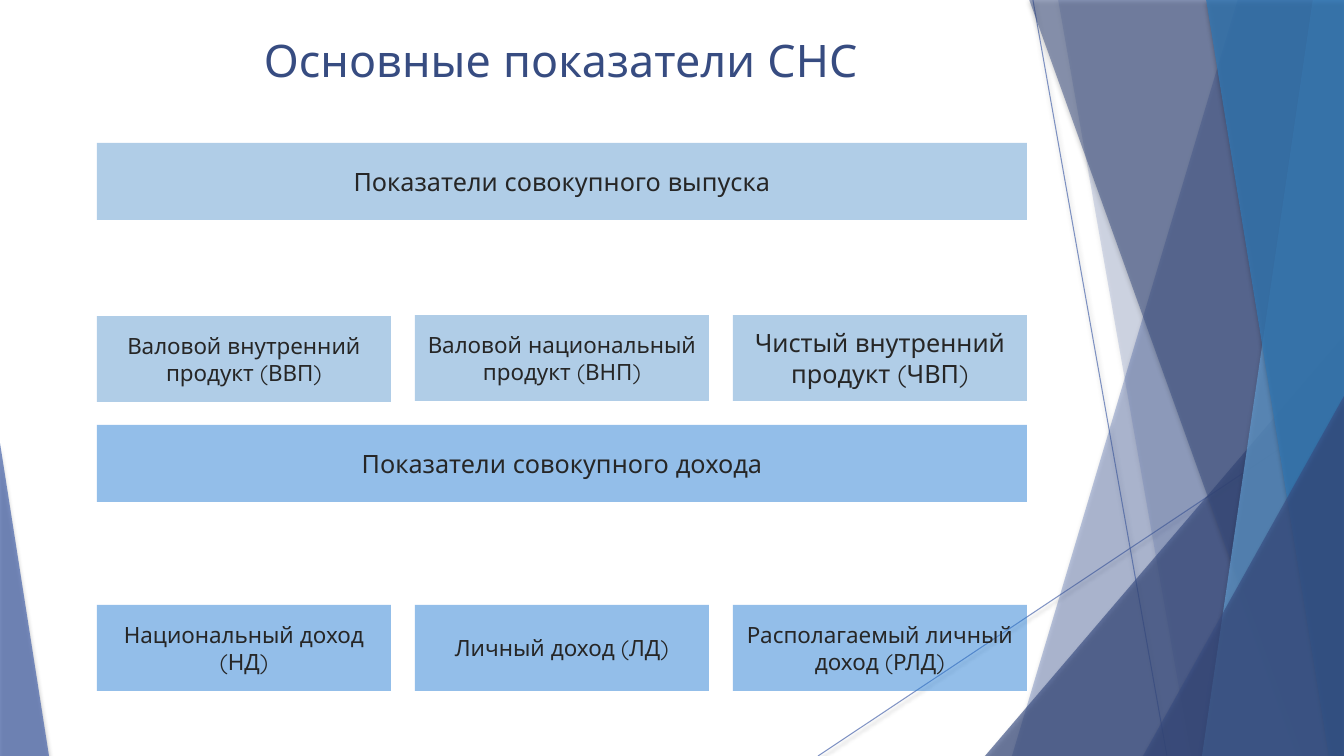
from lxml import etree
from pptx import Presentation
from pptx.dml.color import RGBColor
from pptx.enum.shapes import MSO_CONNECTOR, MSO_SHAPE
from pptx.enum.text import MSO_ANCHOR, PP_ALIGN
from pptx.oxml.ns import qn
from pptx.util import Emu, Pt

STRAIGHT = MSO_CONNECTOR.STRAIGHT
RECTANGLE = MSO_SHAPE.RECTANGLE
TRIANGLE = MSO_SHAPE.ISOSCELES_TRIANGLE
CENTER = PP_ALIGN.CENTER
MIDDLE, TOP = MSO_ANCHOR.MIDDLE, MSO_ANCHOR.TOP

SLIDE_WIDTH, SLIDE_HEIGHT = 1344, 756
SCALE = 12192000 / SLIDE_WIDTH  # EMU in one px

INDIGO = RGBColor(0x4A, 0x66, 0xAC)
NAVY = RGBColor(0x38, 0x4C, 0x81)
SKY = RGBColor(0x62, 0x9D, 0xD1)
OCEAN = RGBColor(0x34, 0x77, 0xB2)
BLUE = RGBColor(0x29, 0x7F, 0xD5)
TITLE_COLOR = RGBColor(0x37, 0x4C, 0x81)
TEXT_COLOR = RGBColor(0x26, 0x26, 0x26)
BLACK = RGBColor(0, 0, 0)

FONT = "Quicksand"
MARGIN, CONTENT_WIDTH = 97, 930
CARD_WIDTH, CARD_PITCH, CARD_HEIGHT = 294, 318, 86
BAND_HEIGHT = 77

# Band text, colour, band top, then cards as (text, top, font size)
SECTIONS = [
    ("Показатели совокупного выпуска", SKY, 143, [
        ("Валовой внутренний продукт (ВВП)", 316, 16),
        ("Валовой национальный продукт (ВНП)", 315, 16),
        ("Чистый внутренний продукт (ЧВП)", 315, 18),
    ]),
    ("Показатели совокупного дохода", BLUE, 425, [
        ("Национальный доход (НД)", 605, 16),
        ("Личный доход (ЛД)", 605, 16),
        ("Располагаемый личный доход (РЛД)", 605, 16),
    ]),
]


def px(*lengths):
    return [Emu(round(length * SCALE)) for length in lengths]


def set_alpha(parent, color, percent):
    """Give the colour element under parent an opacity."""
    node = parent.find(f".//{qn('a:srgbClr')}")
    if node is None:
        node = etree.SubElement(parent, qn("a:srgbClr"), val=str(color))
    etree.SubElement(node, qn("a:alpha"), val=str(percent * 1000))


def add_shadow(shape, opacity, blur, distance):
    effects = etree.SubElement(shape.element.spPr, qn("a:effectLst"))
    shadow = etree.SubElement(
        effects, qn("a:outerShdw"), blurRad=str(Pt(blur)),
        dist=str(Pt(distance)), dir="5400000", rotWithShape="0")
    set_alpha(shadow, BLACK, opacity)


def paint(shape, color, opacity):
    shape.fill.solid()
    shape.fill.fore_color.rgb = color
    set_alpha(shape.element.spPr, color, opacity)
    shape.line.fill.background()


def add_thin_line(slide, *ends):
    line = slide.shapes.add_connector(STRAIGHT, *px(*ends))
    line.line.color.rgb = INDIGO
    line.line.width = Pt(0.75)
    set_alpha(line.element.spPr, INDIGO, 70)
    add_shadow(line, 38, 3.1, 1.6)


def add_shard(slide, top_left, top_right, bottom_right, bottom_left, color, opacity):
    """Four-sided band running the full height of the slide."""
    builder = slide.shapes.build_freeform(top_left, -1, scale=SCALE)
    builder.add_line_segments([
        (top_right, -1), (bottom_right, SLIDE_HEIGHT), (bottom_left, SLIDE_HEIGHT)])
    shard = builder.convert_to_shape()
    paint(shard, color, opacity)
    add_shadow(shard, 35, 3, 2)


def add_corner(slide, left, top, width, apex, color, opacity):
    """Triangle standing on the bottom edge of the slide."""
    corner = slide.shapes.add_shape(
        TRIANGLE, *px(left, top, width, SLIDE_HEIGHT - top))
    corner.adjustments[0] = apex
    paint(corner, color, opacity)
    add_shadow(corner, 35, 3, 2)


def write_text(shape, text, size, color, anchor):
    frame = shape.text_frame
    frame.word_wrap = True
    frame.vertical_anchor = anchor
    paragraph = frame.paragraphs[0]
    paragraph.alignment = CENTER
    run = paragraph.add_run()
    run.text = text
    for name, value in {"name": FONT, "size": Pt(size)}.items():
        setattr(run.font, name, value)
    run.font.color.rgb = color


def add_box(slide, left, top, width, height, text, size, color):
    box = slide.shapes.add_shape(RECTANGLE, *px(left, top, width, height))
    paint(box, color, 50)
    box.shadow.inherit = False
    write_text(box, text, size, TEXT_COLOR, MIDDLE)


def add_backdrop(slide):
    right = SLIDE_WIDTH
    add_thin_line(slide, 1033, 0, 1167, SLIDE_HEIGHT)
    add_thin_line(slide, right, 406, 818, SLIDE_HEIGHT)
    add_shard(slide, 1238, right, right, 1012, INDIGO, 36)
    add_shard(slide, 1058, right, right, 1191, INDIGO, 20)
    add_corner(slide, 985, 336, 359, 1, NAVY, 66)
    add_shard(slide, 1029, right, right, 1301, NAVY, 50)
    add_shard(slide, 1313, right, right, 1202, SKY, 70)
    add_shard(slide, 1206, right, right, 1329, OCEAN, 80)
    add_corner(slide, 1143, 396, 201, 1, NAVY, 66)
    add_corner(slide, 0, 443, 49, 0, INDIGO, 70)


def main():
    presentation = Presentation()
    presentation.slide_width, presentation.slide_height = px(SLIDE_WIDTH, SLIDE_HEIGHT)
    slide = presentation.slides.add_slide(presentation.slide_layouts[6])

    # Decorative facets
    add_backdrop(slide)

    # Title
    title = slide.shapes.add_textbox(*px(MARGIN, 28, 928, 74))
    write_text(title, "Основные показатели СНС", 32, TITLE_COLOR, TOP)

    # Bands with their cards
    for heading, color, band_top, cards in SECTIONS:
        add_box(slide, MARGIN, band_top, CONTENT_WIDTH, BAND_HEIGHT, heading, 18, color)
        for column, (text, top, size) in enumerate(cards):
            left = MARGIN + column * CARD_PITCH
            add_box(slide, left, top, CARD_WIDTH, CARD_HEIGHT, text, size, color)

    presentation.save("out.pptx")


if __name__ == "__main__":
    main()
